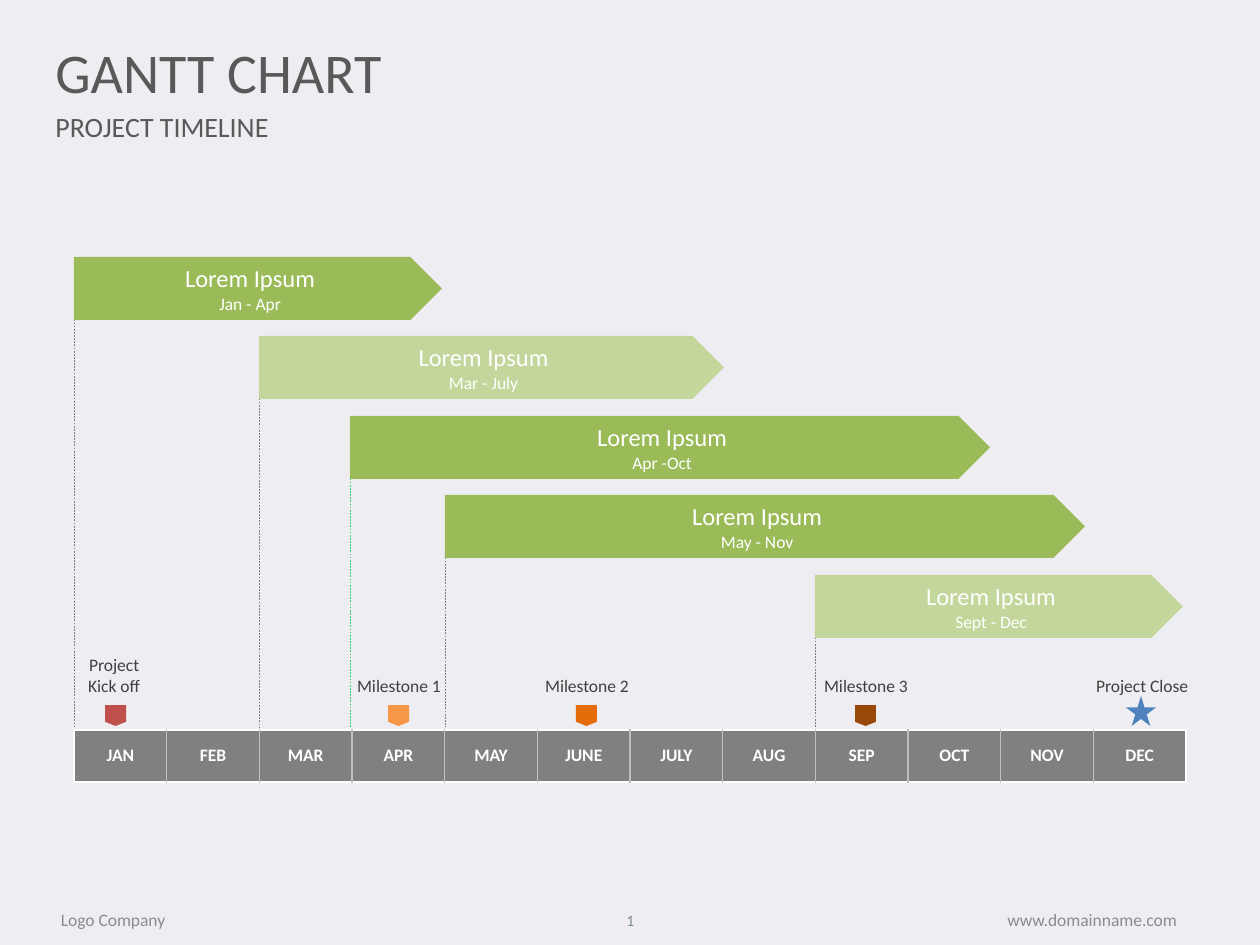
from lxml.etree import SubElement
from pptx import Presentation
from pptx.dml.color import RGBColor
from pptx.enum.dml import MSO_LINE_DASH_STYLE as Dash
from pptx.enum.shapes import MSO_CONNECTOR as Conn, MSO_SHAPE as Kind
from pptx.enum.text import MSO_ANCHOR as Anchor, PP_ALIGN as Align
from pptx.oxml import parse_xml
from pptx.oxml.ns import nsdecls, qn
from pptx.util import Pt

SCALE = 914400 / 126
LEFT, WIDE = 74, 1112
BASE = 727
MONTHS = "JAN FEB MAR APR MAY JUNE JULY AUG SEP OCT NOV DEC".split()
BARS = [
    (74, 368, "9BBB59", "Jan - Apr", "7F7F7F"),
    (259, 465, "C3D69B", "Mar - July", "7F7F7F"),
    (350, 640, "9BBB59", "Apr -Oct", "2ECC71"),
    (445, 640, "9BBB59", "May - Nov", "7F7F7F"),
    (815, 368, "C3D69B", "Sept - Dec", "7F7F7F"),
]
MARKS = [(105, "C0504D"), (388, "F79646"), (576, "E46C0A"), (855, "984807")]
LABELS = [
    ("Project Kick off", 73, 648, 82, 55),
    ("Milestone 2", 529, 669, 116, 34),
    ("Milestone 3", 808, 669, 116, 34),
    ("Project Close", 1076, 669, 132, 34),
]


def px(*nums):
    return [round(n * SCALE) for n in nums]


def rgb(code):
    return RGBColor.from_string(code)


def write(frame, *lines, sizes=(10,), color="404040", bold=False,
          align=Align.CENTER, anchor=Anchor.MIDDLE):
    frame.word_wrap = True
    frame.vertical_anchor = anchor
    for i, (line, size) in enumerate(zip(lines, sizes)):
        para = frame.add_paragraph() if i else frame.paragraphs[0]
        para.alignment = align
        run = para.add_run()
        run.text = line
        font = run.font
        font.name, font.size, font.bold = "Calibri", Pt(size), bold
        font.color.rgb = rgb(color)


def label(slide, words, *box, **form):
    frame = slide.shapes.add_textbox(*px(*box)).text_frame
    write(frame, words, **form)
    return frame


def shape(slide, kind, fill, *box):
    item = slide.shapes.add_shape(kind, *px(*box))
    item.shadow.inherit = False
    item.fill.solid()
    item.fill.fore_color.rgb = rgb(fill)
    item.line.fill.background()
    return item


def guide(slide, x, top, color):
    line = slide.shapes.add_connector(Conn.STRAIGHT, *px(x, top, x, BASE))
    line.line.color.rgb = rgb(color)
    line.line.width = Pt(0.25)
    line.line.dash_style = Dash.DASH
    SubElement(line._element.spPr, qn("a:effectLst"))


def edge(cell, *tags):
    for i, tag in enumerate(tags):
        cell._tc.get_or_add_tcPr().insert(i, parse_xml(
            f'<a:{tag} {nsdecls("a")} w="12700"><a:solidFill>'
            f'<a:srgbClr val="BFBFBF"/></a:solidFill></a:{tag}>'))


def months(slide):
    count = len(MONTHS)
    table = slide.shapes.add_table(1, count, *px(LEFT, 730, WIDE, 52)).table
    table.first_row = table.horz_banding = False
    for i, name in enumerate(MONTHS):
        table.columns[i].width = px(WIDE / count)[0]
        cell = table.cell(0, i)
        cell.fill.solid()
        cell.fill.fore_color.rgb = rgb("808080")
        cell.vertical_anchor = Anchor.MIDDLE
        write(cell.text_frame, name, color="FFFFFF", bold=True)
        edge(cell, *["lnL"] * (i > 0), *["lnR"] * (i < count - 1))


def bars(slide):
    for i, (x, wide, fill, span, color) in enumerate(BARS):
        top = 257 + i * 159 // 2
        guide(slide, x, top, color)
        bar = shape(slide, Kind.PENTAGON, fill, x, top, wide, 63)
        write(bar.text_frame, "Lorem Ipsum", span, sizes=(14, 10), color="FFFFFF")


def marks(slide):
    for x, fill in MARKS:
        shape(slide, Kind.FLOWCHART_OFFPAGE_CONNECTOR, fill, x, 705, 21, 21)
    shape(slide, Kind.STAR_5_POINT, "4F81BD", 1126, 696, 30, 30)
    for words, *box in LABELS:
        label(slide, words, *box, anchor=Anchor.TOP)
    frame = label(slide, "Milestone 1", 354, 675, 90, 28, anchor=Anchor.TOP)
    frame.margin_left = frame.margin_top = frame.margin_right = 0


def main():
    deck = Presentation()
    deck.slide_width, deck.slide_height = px(1260, 945)
    slide = deck.slides.add_slide(deck.slide_layouts[6])
    slide.background.fill.solid()
    slide.background.fill.fore_color.rgb = rgb("EEEEF2")
    head = {"color": "595959", "align": Align.LEFT}
    label(slide, "PROJECT TIMELINE", 43, 105, 588, 42, sizes=(16,), **head)
    label(slide, "GANTT CHART", 43, 38, 902, 67, sizes=(32,), **head)
    label(slide, "www.domainname.com", 945, 893, 294, 53, color="8C8C8C")
    label(slide, "Logo Company", 21, 893, 184, 53, color="8C8C8C")
    label(slide, "1", 599, 895, 63, 50, sizes=(9,), color="7F8C8D")
    months(slide)
    bars(slide)
    marks(slide)
    deck.save("out.pptx")


if __name__ == "__main__":
    main()
